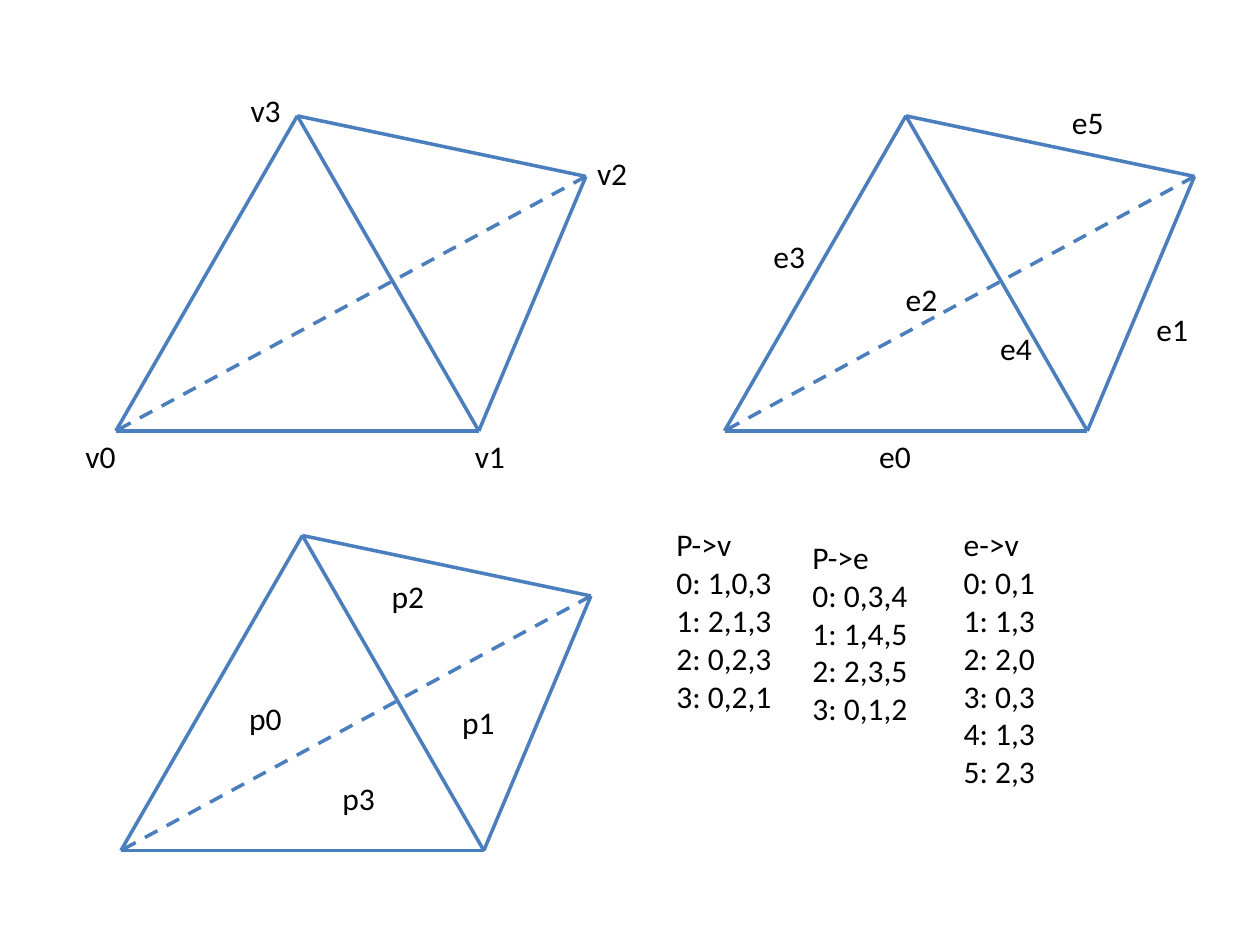
from lxml import etree
from pptx import Presentation
from pptx.dml.color import RGBColor
from pptx.enum.dml import MSO_LINE_DASH_STYLE as DASH
from pptx.enum.shapes import MSO_CONNECTOR
from pptx.enum.text import MSO_AUTO_SIZE
from pptx.oxml.ns import qn
from pptx.util import Inches, Pt

EDGE_BLUE = RGBColor(0x4B, 0x7E, 0xBC)
BLACK = RGBColor(0x00, 0x00, 0x00)

presentation = Presentation()
presentation.slide_width = Inches(10)
presentation.slide_height = Inches(7.5)
slide = presentation.slides.add_slide(presentation.slide_layouts[6])


def add_text(text, left, top, width=0.46, height=0.4, size=18, color=BLACK, wrap=False):
    box = slide.shapes.add_textbox(Inches(left), Inches(top), Inches(width), Inches(height))
    frame = box.text_frame
    frame.word_wrap = wrap
    frame.auto_size = MSO_AUTO_SIZE.SHAPE_TO_FIT_TEXT
    frame.text = text
    for paragraph in frame.paragraphs:
        paragraph.font.name = "Calibri"
        paragraph.font.size = Pt(size)
        paragraph.font.color.rgb = color


vertices = [(0, 2.5), (2.88, 2.5), (3.73, 0.48), (1.44, 0)]
edges = [(3, 0), (3, 1), (0, 1), (3, 2), (2, 1), (2, 0)]
hidden_edge = (2, 0)

for left, top in [(0.92, 0.92), (0.96, 4.25), (5.75, 0.92)]:
    tetrahedron = slide.shapes.add_group_shape()
    for edge in edges:
        (x1, y1), (x2, y2) = (vertices[index] for index in edge)
        connector = tetrahedron.shapes.add_connector(
            MSO_CONNECTOR.STRAIGHT,
            Inches(left + x1), Inches(top + y1), Inches(left + x2), Inches(top + y2))
        connector.line.color.rgb = EDGE_BLUE
        connector.line.width = Pt(2)
        if edge == hidden_edge:
            connector.line.dash_style = DASH.DASH
        etree.SubElement(connector._element.spPr, qn("a:effectLst"))

vertex_labels = [("v0", 0.58, 3.42), ("v1", 3.67, 3.42), ("v2", 4.64, 1.17), ("v3", 1.89, 0.67)]
for text, left, top in vertex_labels:
    add_text(text, left, top, width=0.44)

face_labels = [("p0", 1.88, 5.5), ("p1", 3.57, 5.53), ("p2", 3.01, 4.53), ("p3", 2.62, 6.13)]
edge_labels = [
    ("e0", 6.88, 3.42), ("e1", 9.08, 2.41), ("e2", 7.09, 2.17),
    ("e3", 6.04, 1.83), ("e4", 7.84, 2.56), ("e5", 8.41, 0.77),
]
for text, left, top in face_labels + edge_labels:
    add_text(text, left, top)

add_text("P->v\n0: 1,0,3\n1: 2,1,3\n2: 0,2,3\n3: 0,2,1", 5.27, 4.12, width=0.97, height=1.62)
add_text("P->e\n0: 0,3,4\n1: 1,4,5\n2: 2,3,5\n3: 0,1,2", 6.35, 4.22, width=0.97, height=1.62)
add_text("e->v\n0: 0,1\n1: 1,3\n2: 2,0\n3: 0,3\n4: 1,3\n5: 2,3", 7.55, 4.12,
         width=0.97, height=2.22, wrap=True)

presentation.save("out.pptx")
